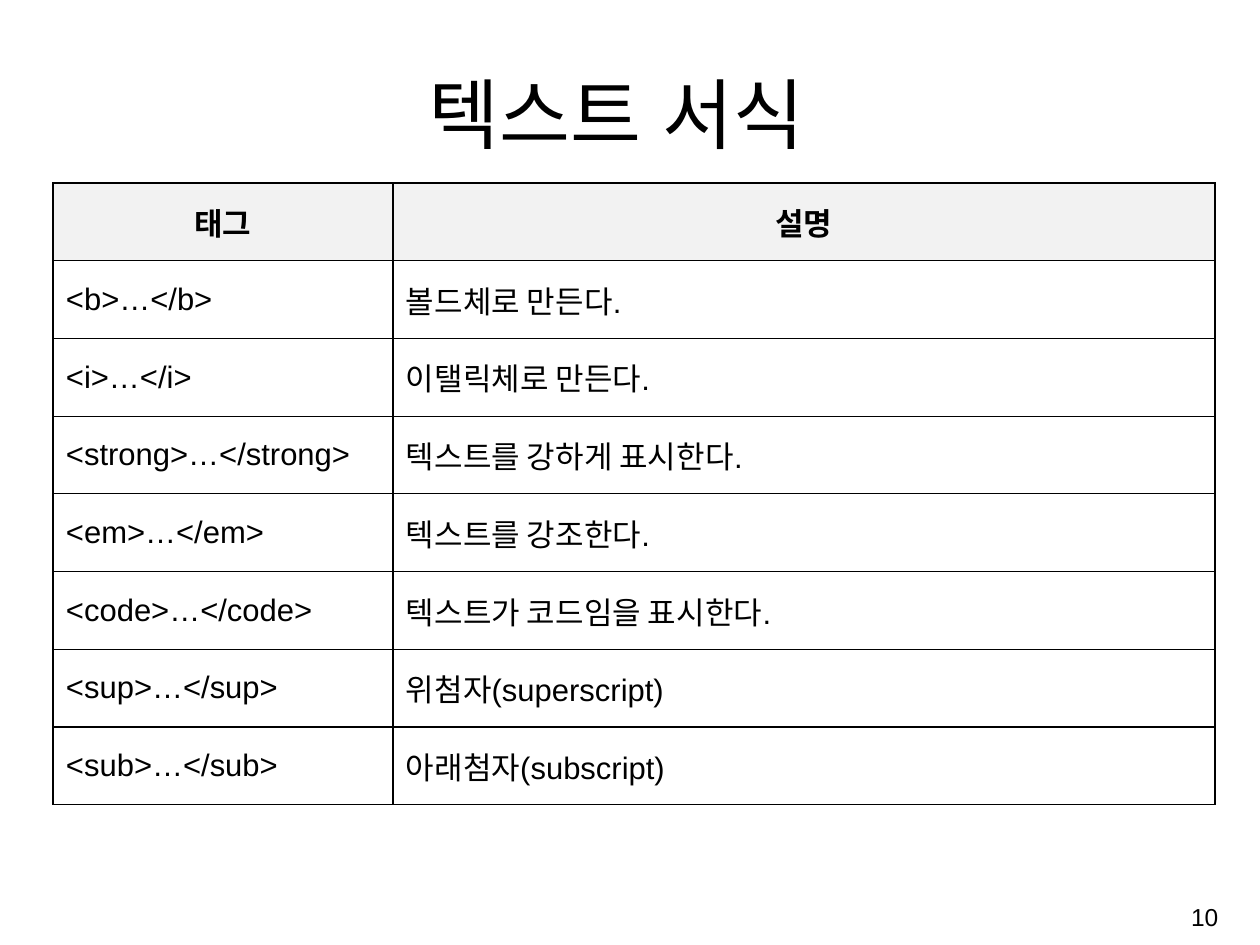
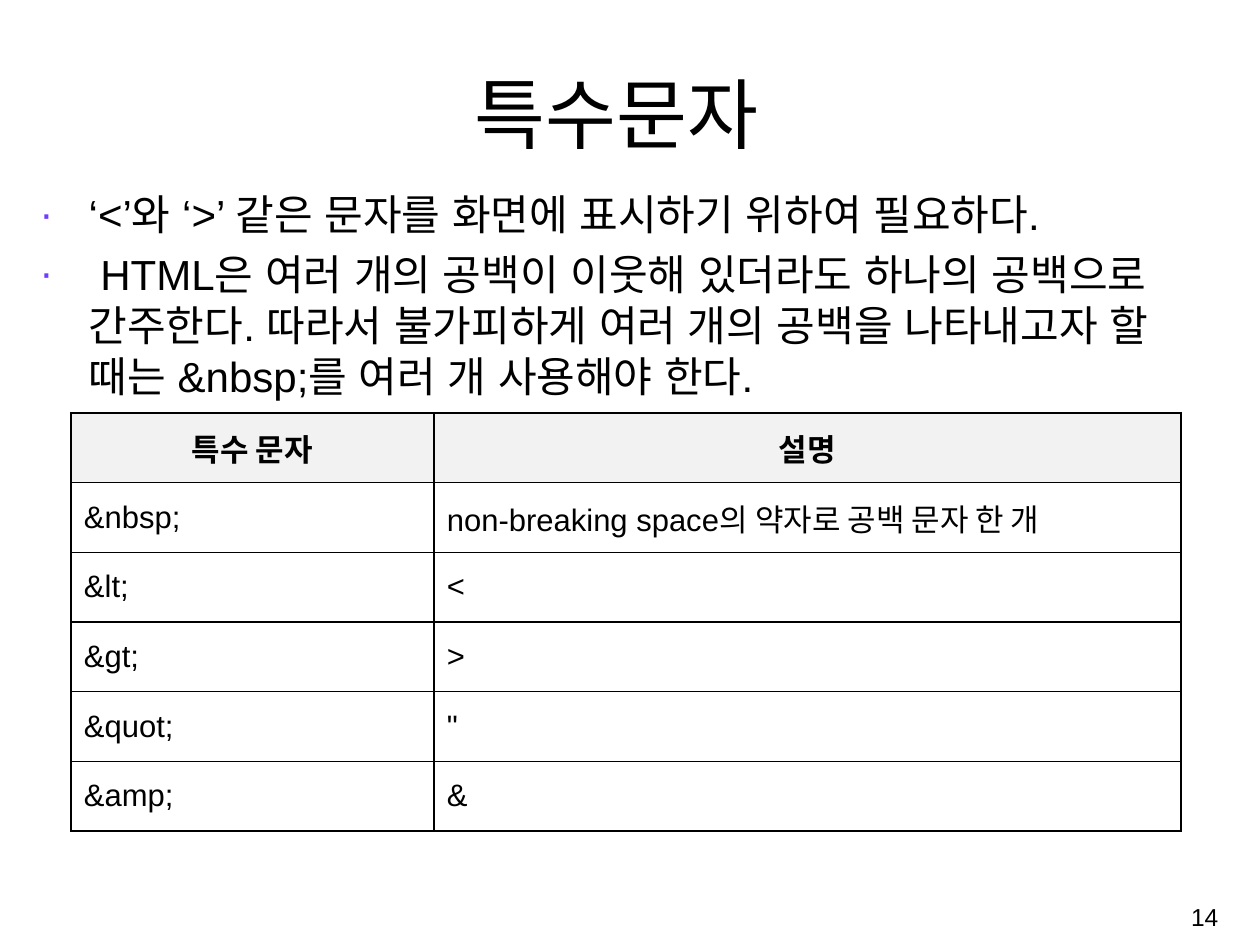
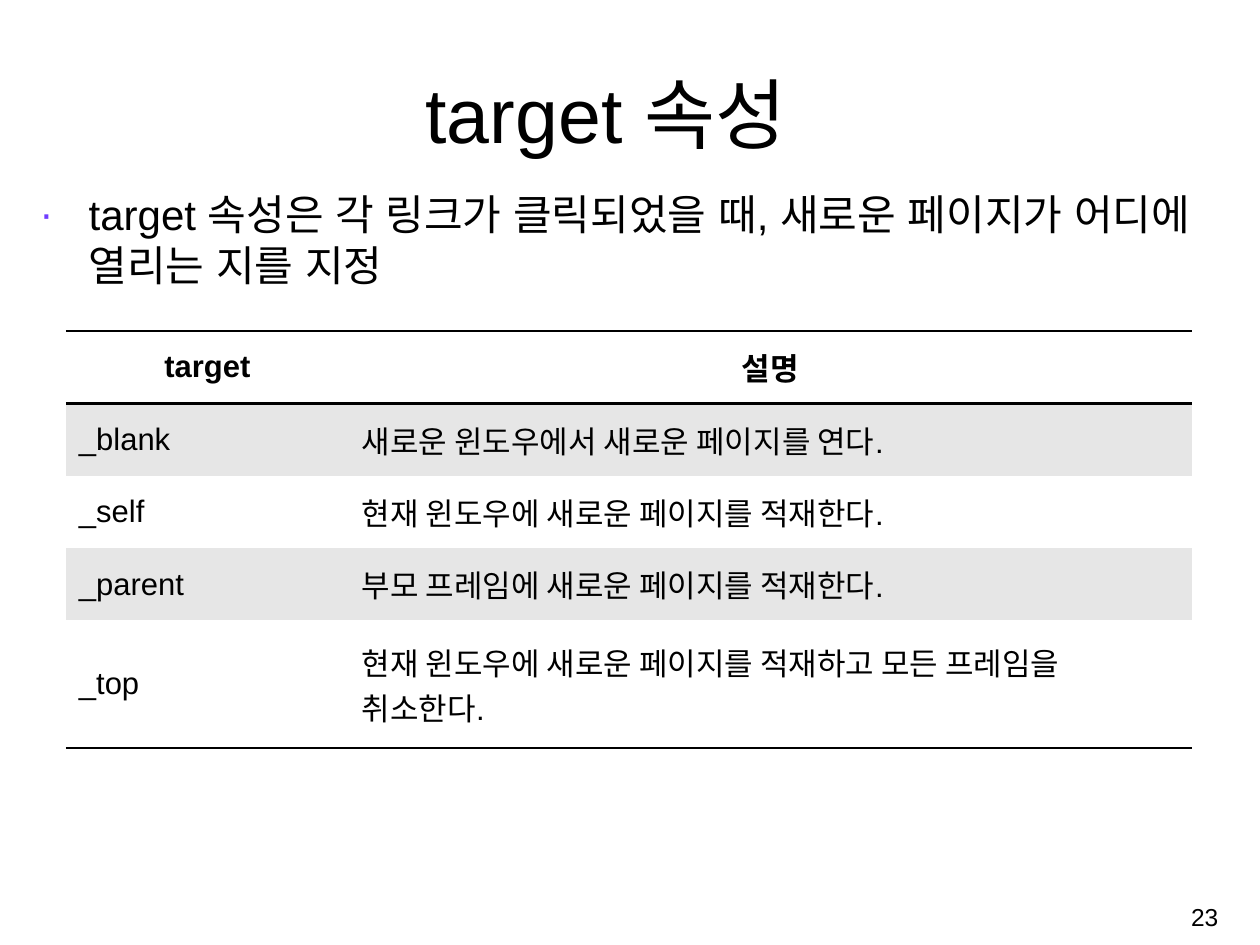
import lxml.etree
import pptx
import pptx.dml.color
import pptx.enum.text
import pptx.oxml.ns
import pptx.util

RGB = pptx.dml.color.RGBColor
ALIGN = pptx.enum.text.PP_ALIGN
ANCHOR = pptx.enum.text.MSO_ANCHOR
qn = pptx.oxml.ns.qn

# Shared look
BLACK = RGB(0x00, 0x00, 0x00)
WHITE = RGB(0xFF, 0xFF, 0xFF)
HEADER_GRAY = RGB(0xF2, 0xF2, 0xF2)
BAND_GRAY = RGB(0xE6, 0xE6, 0xE6)
BULLET_VIOLET = RGB(0x70, 0x3D, 0xFF)
FONT = "Arial"
TITLE_PT, BODY_PT, TABLE_PT, PAGE_PT = 57.2, 31.2, 23, 18.2

# Shared boxes: left, top, width, height in px
SLIDE_W, SLIDE_H = 1260, 945
TITLE_BOX = (102, 59, 1029, 105)
BODY_BOX = (31, 183, 1195, 685)
PAGE_BOX = (968, 888, 260, 58)
LAYOUT_BODY, LAYOUT_TITLE_ONLY = 1, 5


def px(n):
    return pptx.util.Emu(round(n * 914400 / 97))


def place(sp, box):
    sp.left, sp.top, sp.width, sp.height = map(px, box)


def write(p, text, *, size, bold=False, align=ALIGN.LEFT, asian_font=None):
    p.alignment = align
    r = p.add_run()
    r.text = text
    r.font.size = pptx.util.Pt(size)
    r.font.bold = bold
    r.font.color.rgb = BLACK
    r.font.name = FONT
    if asian_font:
        ea = lxml.etree.SubElement(r.font._element, qn("a:ea"))
        ea.set("typeface", asian_font)


def add_title(slide, text, box):
    sp = slide.shapes.title
    place(sp, box)
    tf = sp.text_frame
    tf.auto_size = pptx.enum.text.MSO_AUTO_SIZE.NONE
    tf.vertical_anchor = ANCHOR.BOTTOM
    write(tf.paragraphs[0], text, size=TITLE_PT, align=ALIGN.CENTER,
          asian_font=FONT)


def set_bullet(p, indent):
    pPr = p._p.get_or_add_pPr()
    pPr.set("marL", str(indent))
    pPr.set("indent", str(-indent))
    color = lxml.etree.SubElement(pPr, qn("a:buClr"))
    lxml.etree.SubElement(color, qn("a:srgbClr")).set("val", str(BULLET_VIOLET))
    lxml.etree.SubElement(pPr, qn("a:buFont")).set("typeface", FONT)
    lxml.etree.SubElement(pPr, qn("a:buChar")).set("char", "∙")


def add_bullets(slide, items, box):
    sp = slide.placeholders[1]
    place(sp, box)
    tf = sp.text_frame
    tf.auto_size = pptx.enum.text.MSO_AUTO_SIZE.NONE
    for i, item in enumerate(items):
        p = tf.add_paragraph() if i else tf.paragraphs[0]
        p.line_spacing = pptx.util.Pt(38)
        p.space_before = pptx.util.Pt(6.2 if i else 0)
        set_bullet(p, px(48))
        write(p, item, size=BODY_PT, asian_font=FONT)


def set_borders(cell, widths):
    """Widths in points for the left, right, top and bottom edges; 0 hides one."""
    tcPr = cell._tc.get_or_add_tcPr()
    for i, (edge, width) in enumerate(zip("LRTB", widths)):
        ln = lxml.etree.Element(qn("a:ln" + edge))
        ln.set("w", str(pptx.util.Pt(width)))
        if width:
            fill = lxml.etree.SubElement(ln, qn("a:solidFill"))
            lxml.etree.SubElement(fill, qn("a:srgbClr")).set("val", str(BLACK))
        else:
            lxml.etree.SubElement(ln, qn("a:noFill"))
        tcPr.insert(i, ln)


def add_table(slide, rows, box, first_col, *, extra_last=0, banded=False):
    """Gridded table, or a banded one ruled at the header and bottom."""
    left, top, width, height = box
    n = len(rows)
    table = slide.shapes.add_table(n, 2, *map(px, box)).table
    table.first_row = table.horz_banding = False
    table.columns[0].width = px(first_col)
    table.columns[1].width = px(width - first_col)
    for i, row in enumerate(table.rows):
        row.height = px((height - extra_last) / n
                        + (extra_last if i == n - 1 else 0))

    ruled = {0, 1, n} if banded else set(range(n + 1))
    rule_w, side_w = (2, 0) if banded else (1, 1)
    header_fill = WHITE if banded else HEADER_GRAY
    for i, texts in enumerate(rows):
        header = i == 0
        for j, text in enumerate(texts):
            cell = table.cell(i, j)
            cell.margin_left = cell.margin_right = px(13)
            cell.margin_top = cell.margin_bottom = px(6)
            cell.vertical_anchor = ANCHOR.MIDDLE
            cell.fill.solid()
            cell.fill.fore_color.rgb = (
                header_fill if header
                else BAND_GRAY if banded and i % 2 else WHITE)
            set_borders(cell, (side_w, side_w,
                               rule_w if i in ruled else 0,
                               rule_w if i + 1 in ruled else 0))
            write(cell.text_frame.paragraphs[0], text, size=TABLE_PT,
                  bold=header, align=ALIGN.CENTER if header else ALIGN.LEFT)


def add_page_number(slide, number, box):
    tf = slide.shapes.add_textbox(*map(px, box)).text_frame
    tf.word_wrap = True
    tf.vertical_anchor = ANCHOR.MIDDLE
    write(tf.paragraphs[0], str(number), size=PAGE_PT, align=ALIGN.RIGHT)


def add_slide(prs, title, number, bullets=()):
    layout = LAYOUT_BODY if bullets else LAYOUT_TITLE_ONLY
    slide = prs.slides.add_slide(prs.slide_layouts[layout])
    add_title(slide, title, TITLE_BOX)
    if bullets:
        add_bullets(slide, bullets, BODY_BOX)
    add_page_number(slide, number, PAGE_BOX)
    return slide


def text_format_slide(prs):
    slide = add_slide(prs, "텍스트 서식", 10)
    add_table(slide, [
        ("태그", "설명"),
        ("<b>…</b>", "볼드체로 만든다."),
        ("<i>…</i>", "이탤릭체로 만든다."),
        ("<strong>…</strong>", "텍스트를 강하게 표시한다."),
        ("<em>…</em>", "텍스트를 강조한다."),
        ("<code>…</code>", "텍스트가 코드임을 표시한다."),
        ("<sup>…</sup>", "위첨자(superscript)"),
        ("<sub>…</sub>", "아래첨자(subscript)"),
    ], (53, 183, 1162, 622), 340)


def special_characters_slide(prs):
    slide = add_slide(prs, "특수문자", 14, [
        "‘<’와 ‘>’ 같은 문자를 화면에 표시하기 위하여 필요하다.",
        " HTML은 여러 개의 공백이 이웃해 있더라도 하나의 공백으로 간주한다. "
        "따라서 불가피하게 여러 개의 공백을 나타내고자 할 때는 &nbsp;를 "
        "여러 개 사용해야 한다.",
    ])
    add_table(slide, [
        ("특수 문자", "설명"),
        ("&nbsp;", "non-breaking space의 약자로 공백 문자 한 개"),
        ("&lt;", "<"),
        ("&gt;", ">"),
        ("&quot;", '"'),
        ("&amp;", "&"),
    ], (71, 413, 1110, 418), 363)


def target_attribute_slide(prs):
    slide = add_slide(prs, "target 속성 ", 23, [
        "target 속성은 각 링크가 클릭되었을 때, 새로운 페이지가 어디에 "
        "열리는 지를 지정",
    ])
    add_table(slide, [
        ("target", "설명"),
        ("_blank", "새로운 윈도우에서 새로운 페이지를 연다."),
        ("_self", "현재 윈도우에 새로운 페이지를 적재한다."),
        ("_parent", "부모 프레임에 새로운 페이지를 적재한다."),
        ("_top", "현재 윈도우에 새로운 페이지를 적재하고 모든 프레임을 취소한다."),
    ], (66, 331, 1126, 417), 283, extra_last=55, banded=True)


def main():
    prs = pptx.Presentation()
    prs.slide_width, prs.slide_height = px(SLIDE_W), px(SLIDE_H)
    text_format_slide(prs)
    special_characters_slide(prs)
    target_attribute_slide(prs)
    prs.save("out.pptx")


if __name__ == "__main__":
    main()
